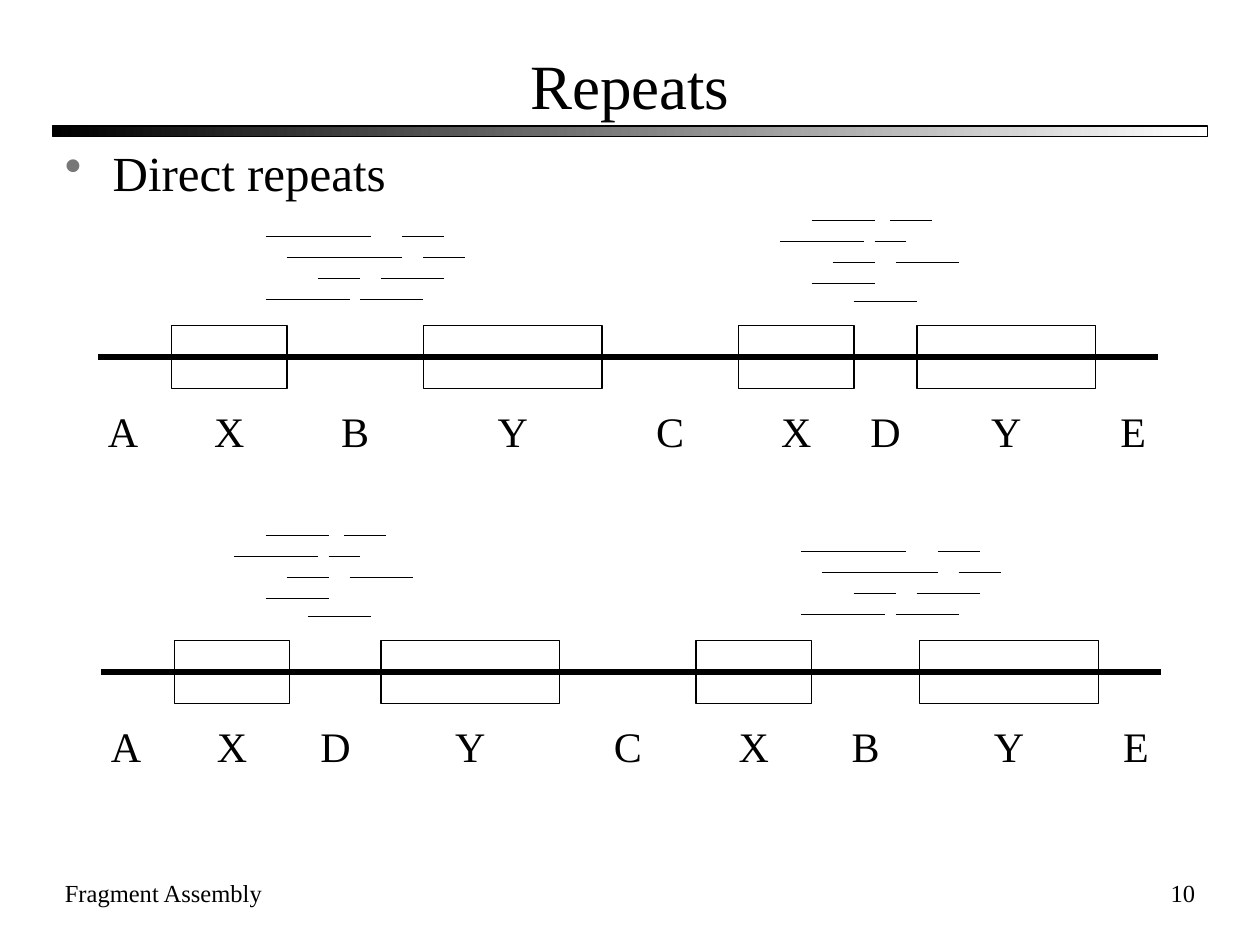
from lxml import etree
from pptx import Presentation
from pptx import util as u
from pptx.dml.color import RGBColor
from pptx.enum import shapes, text
from pptx.oxml import ns

BLACK = RGBColor(0x00, 0x00, 0x00)
WHITE = RGBColor(0xFF, 0xFF, 0xFF)
GRAY = RGBColor(0x77, 0x77, 0x77)
FONT = "Times New Roman"
WIDTH, HEIGHT = u.Inches(10), u.Inches(7.5)
COLUMN, ROW = WIDTH / 120, HEIGHT / 90

REPEAT_HEIGHT = 6
END_LABEL_INSET = 2.4
LABEL_WIDTH, LABEL_HEIGHT, LABEL_DROP = 5.3, 6, 4

REPEATS = {"X", "Y"}
STRANDS = [
    (9.33, 34, [("A", 7), ("X", 11), ("B", 13), ("Y", 17), ("C", 13),
                ("X", 11), ("D", 6), ("Y", 17), ("E", 6)]),
    (9.6, 64, [("A", 7), ("X", 11), ("D", 8.7), ("Y", 17), ("C", 13),
               ("X", 11), ("B", 10.3), ("Y", 17), ("E", 6)]),
]
READS_B = [(0, 0, 10), (13, 0, 4), (2, 2, 11), (15, 2, 4),
           (5, 4, 4), (11, 4, 6), (0, 6, 8), (9, 6, 6)]
READS_D = [(3, 0, 6), (10.5, 0, 4), (0, 2, 8), (9, 2, 3),
           (5, 4, 4), (11, 4, 6), (3, 6, 6), (7, 7.7, 6)]
READ_CLUSTERS = [(25.3, 22.5, READS_B), (74.3, 21, READS_D),
                 (76.3, 52.5, READS_B), (22.3, 51, READS_D)]


def area(column, row, columns, rows):
    return (round(column * COLUMN), round(row * ROW),
            round(columns * COLUMN), round(rows * ROW))


def add_bullet(paragraph, indent):
    properties = paragraph._p.get_or_add_pPr()
    properties.set("marL", str(indent))
    properties.set("indent", str(-indent))
    colour = etree.SubElement(properties, ns.qn("a:buClr"))
    etree.SubElement(colour, ns.qn("a:srgbClr"), val=str(GRAY))
    etree.SubElement(properties, ns.qn("a:buChar"), char="•")


def write(frame, words, size, align=text.PP_ALIGN.LEFT,
          anchor=text.MSO_ANCHOR.TOP, wrap=True, bullet_indent=None):
    frame.word_wrap = wrap
    frame.vertical_anchor = anchor
    frame.text = words
    paragraph = frame.paragraphs[0]
    paragraph.alignment = align
    if bullet_indent:
        add_bullet(paragraph, bullet_indent)
    font = paragraph.runs[0].font
    font.name, font.size = FONT, u.Pt(size)
    font.color.rgb = BLACK


def add_text(slide, place, words, size, **style):
    write(slide.shapes.add_textbox(*place).text_frame, words, size, **style)


def add_title(slide, words):
    title = slide.shapes.title
    title.left, title.top, title.width, title.height = area(5, 4, 110, 8)
    write(title.text_frame, words, 36, align=text.PP_ALIGN.CENTER,
          anchor=text.MSO_ANCHOR.MIDDLE)


def add_box(slide, place):
    box = slide.shapes.add_shape(shapes.MSO_SHAPE.RECTANGLE, *place)
    box.shadow.inherit = False
    box.fill.background()
    box.line.color.rgb = BLACK
    box.line.width = u.Pt(0.75)
    return box


def add_title_rule(slide):
    fill = add_box(slide, area(5, 12, 110, 1)).fill
    fill.gradient()
    fill.gradient_angle = 0
    for stop, colour in zip(fill.gradient_stops, (BLACK, WHITE)):
        stop.color.rgb = colour


def add_line(slide, column, row, columns, weight):
    left, top, width, _ = area(column, row, columns, 0)
    line = slide.shapes.add_connector(
        shapes.MSO_CONNECTOR.STRAIGHT, left, top, left + width, top)
    line.line.color.rgb = BLACK
    line.line.width = u.Pt(weight)
    etree.SubElement(line._element.spPr, ns.qn("a:effectLst"))


def add_strand(slide, start, row, segments):
    length = sum(columns for _, columns in segments)
    add_line(slide, start, row, length, 3)
    column = start
    for index, (name, columns) in enumerate(segments):
        centre = column + columns / 2
        if index == 0:
            centre = start + END_LABEL_INSET
        elif index == len(segments) - 1:
            centre = start + length - END_LABEL_INSET
        if name in REPEATS:
            add_box(slide, area(column, row - REPEAT_HEIGHT / 2,
                                columns, REPEAT_HEIGHT))
        label_place = area(centre - LABEL_WIDTH / 2, row + LABEL_DROP,
                           LABEL_WIDTH, LABEL_HEIGHT)
        add_text(slide, label_place, name, 24,
                 align=text.PP_ALIGN.CENTER, wrap=False)
        column += columns


def add_reads(slide, left, top, reads):
    for column, row, columns in reads:
        add_line(slide, left + column, top + row, columns, 0.75)


def main():
    deck = Presentation()
    deck.slide_width, deck.slide_height = WIDTH, HEIGHT
    slide = deck.slides.add_slide(deck.slide_layouts[5])
    add_title_rule(slide)
    add_title(slide, "Repeats")
    add_text(slide, area(5, 13, 54, 69), "Direct repeats", 28,
             bullet_indent=u.Inches(0.38))
    for strand in STRANDS:
        add_strand(slide, *strand)
    for cluster in READ_CLUSTERS:
        add_reads(slide, *cluster)
    add_text(slide, area(5, 83, 42, 6), "Fragment Assembly", 14)
    add_text(slide, area(90, 83, 25, 6), "10", 14,
             align=text.PP_ALIGN.RIGHT)
    deck.save("out.pptx")


if __name__ == "__main__":
    main()
